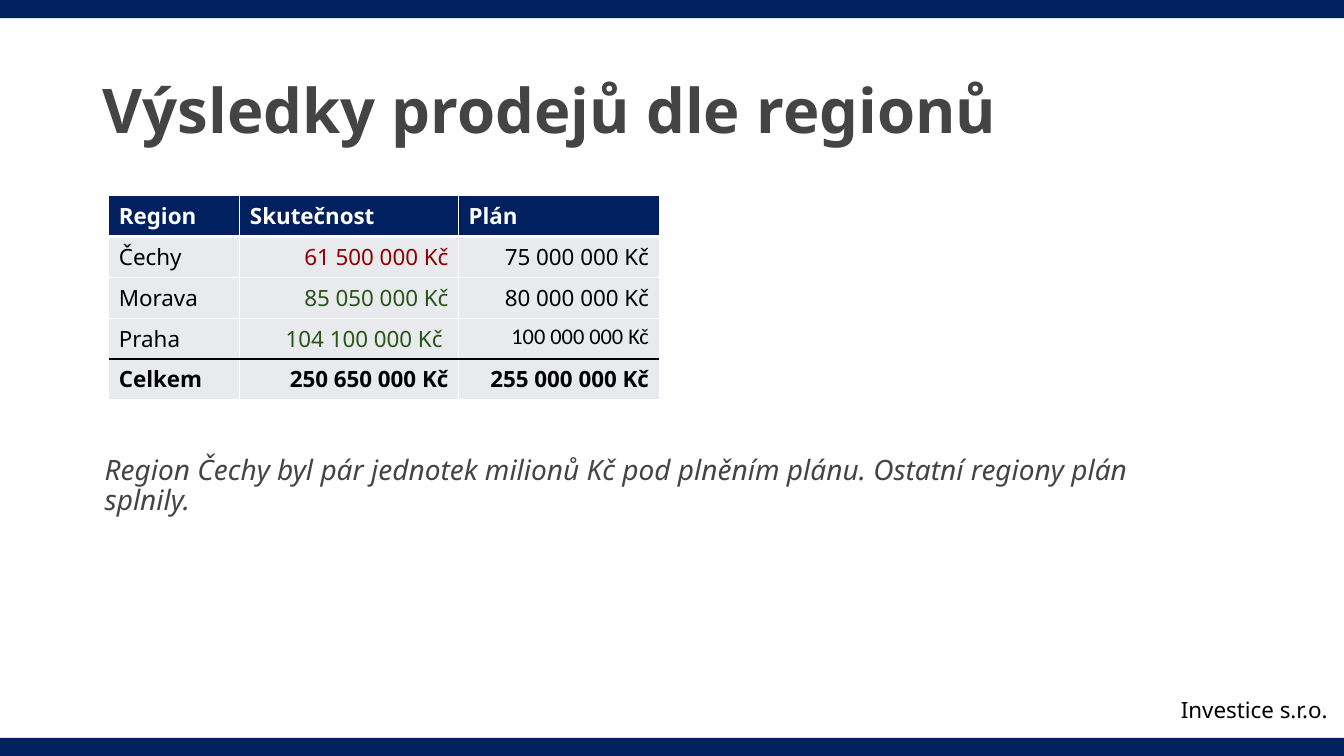
from lxml import etree
from pptx import Presentation
from pptx.dml.color import RGBColor
from pptx.enum import shapes, text
from pptx.oxml import ns
from pptx.util import Pt

NAVY = RGBColor(0x00, 0x20, 0x60)
GRAY = RGBColor(0x44, 0x44, 0x44)
PALE = RGBColor(0xE8, 0xEA, 0xED)
RED = RGBColor(0x8E, 0x00, 0x00)
GREEN = RGBColor(0x27, 0x54, 0x17)
BLACK = RGBColor(0x00, 0x00, 0x00)
WHITE = RGBColor(0xFF, 0xFF, 0xFF)

WIDE, HIGH = 960, 540


def write(frame, words, size=16, color=BLACK, font="Noto Sans", bold=False,
          italic=False, right=False, space=None):
    frame.word_wrap = True
    par = frame.paragraphs[0]
    par.alignment = text.PP_ALIGN.RIGHT if right else text.PP_ALIGN.LEFT
    par.line_spacing = space
    run = par.add_run()
    run.text = words
    run.font.size, run.font.name = Pt(size), font
    run.font.bold, run.font.italic = bold, italic
    run.font.color.rgb = color


def edge(cell, widths):
    """Draw white cell borders; widths are points for left, right, top, bottom."""
    props = cell._tc.get_or_add_tcPr()
    for side, width in zip("LRTB", widths):
        line = etree.SubElement(props, ns.qn("a:ln" + side), w=str(Pt(width)))
        fill = etree.SubElement(line, ns.qn("a:solidFill"))
        etree.SubElement(fill, ns.qn("a:srgbClr"), val=str(WHITE))


deck = Presentation()
deck.slide_width, deck.slide_height = Pt(WIDE), Pt(HIGH)
slide = deck.slides.add_slide(deck.slide_layouts[6])
items = slide.shapes

# Title
title = items.add_textbox(Pt(66.24), Pt(28.8), Pt(828), Pt(104.4)).text_frame
title.vertical_anchor = text.MSO_ANCHOR.MIDDLE
write(title, "Výsledky prodejů dle regionů", size=44, color=GRAY, bold=True, space=0.9)

# Bands at the top and bottom
BAND = 12.96
for top in (0, HIGH - BAND):
    band = items.add_shape(shapes.MSO_SHAPE.RECTANGLE, 0, Pt(top), Pt(WIDE), Pt(BAND))
    band.shadow.inherit = False
    band.fill.solid()
    band.fill.fore_color.rgb = NAVY
    band.line.fill.background()

# Footer
footer = items.add_textbox(Pt(596.88), Pt(496.08), Pt(358.56), Pt(25.2)).text_frame
write(footer, "Investice s.r.o.", right=True, space=0.9)

# Sales table
LEFT, TOP, ROW = 77.76, 139.68, 29.2
COLS = (93.6, 156.24, 143.28)
SALES = (
    ("Region", "Skutečnost", "Plán"),
    ("Čechy", "61 500 000 Kč", "75 000 000 Kč"),
    ("Morava", "85 050 000 Kč", "80 000 000 Kč"),
    ("Praha", "104 100 000 Kč ", "100 000 000 Kč"),
    ("Celkem", "250 650 000 Kč", "255 000 000 Kč"),
)
TINTS = {(1, 1): RED, (2, 1): GREEN, (3, 1): GREEN}
FONTS = {(3, 2): "Calibri"}
last = len(SALES) - 1

table = items.add_table(len(SALES), len(COLS), Pt(LEFT), Pt(TOP),
                        Pt(sum(COLS)), Pt(ROW * len(SALES))).table
for col, width in zip(table.columns, COLS):
    col.width = Pt(width)
for r, row in enumerate(SALES):
    table.rows[r].height = Pt(ROW)
    head = r == 0
    for c, words in enumerate(row):
        cell = table.cell(r, c)
        edge(cell, (1, 1, 3 if r == 1 else 1, 3 if head else 1))
        cell.fill.solid()
        cell.fill.fore_color.rgb = NAVY if head else PALE
        write(cell.text_frame, words, bold=r in (0, last), right=c > 0 and not head,
              color=WHITE if head else TINTS.get((r, c), BLACK),
              font=FONTS.get((r, c), "Noto Sans"))

# Rule above the total
level = Pt(TOP + ROW * last)
rule = items.add_connector(shapes.MSO_CONNECTOR.STRAIGHT, Pt(LEFT), level,
                           Pt(LEFT + sum(COLS)), level)
rule.line.color.rgb = BLACK
rule.line.width = Pt(1.5)
etree.SubElement(rule._element.spPr, ns.qn("a:effectLst"))

# Comment on the results
note = items.add_textbox(Pt(67.68), Pt(322.56), Pt(807.12), Pt(31.68)).text_frame
note.auto_size = text.MSO_AUTO_SIZE.SHAPE_TO_FIT_TEXT
write(note, "Region Čechy byl pár jednotek milionů Kč pod plněním plánu. "
      "Ostatní regiony plán splnily.", size=20, color=GRAY, italic=True, space=0.9)

deck.save("out.pptx")
